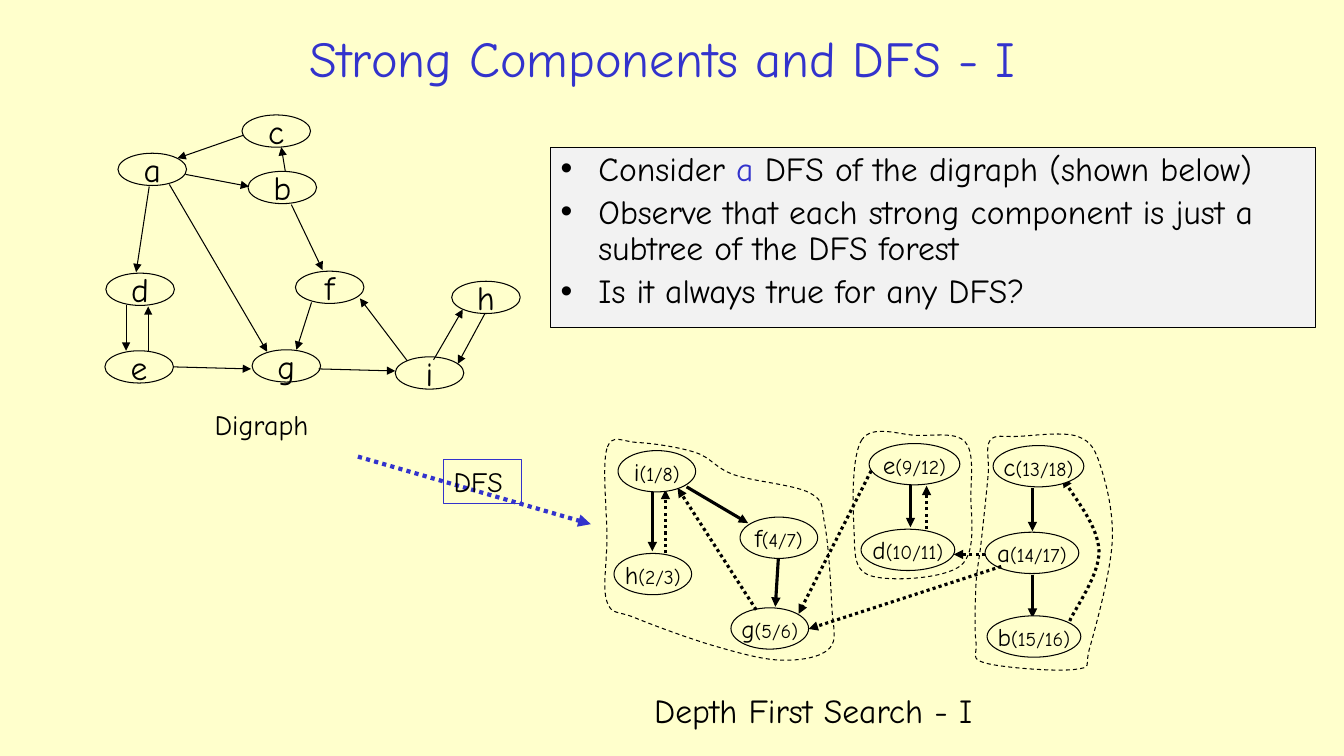
from lxml import etree
from pptx import Presentation
from pptx.dml.color import RGBColor
from pptx.enum.dml import MSO_LINE
from pptx.enum.shapes import MSO_CONNECTOR, MSO_SHAPE
from pptx.enum.text import MSO_ANCHOR, MSO_AUTO_SIZE, PP_ALIGN
from pptx.oxml.ns import qn
from pptx.util import Inches, Pt

CELL = Inches(0.1)
FONT = "Comic Neue"
COLORS = {"paper": "FFFFCC", "ink": "000000", "blue": "3333CC", "panel": "F2F2F2"}
OVAL, RECT, STRAIGHT = MSO_SHAPE.OVAL, MSO_SHAPE.RECTANGLE, MSO_CONNECTOR.STRAIGHT
DASH, DOT = MSO_LINE.DASH, MSO_LINE.ROUND_DOT
LEFT, CENTER = PP_ALIGN.LEFT, PP_ALIGN.CENTER
TOP, MIDDLE = MSO_ANCHOR.TOP, MSO_ANCHOR.MIDDLE
NO_FIT, GROW = MSO_AUTO_SIZE.NONE, MSO_AUTO_SIZE.SHAPE_TO_FIT_TEXT

DIGRAPH_NODES = {
    "a": (11.7, 15.2), "c": (24, 11.4), "b": (24.6, 17),
    "d": (10.5, 27.1), "e": (10.4, 34.8), "f": (29.3, 26.9),
    "g": (25, 34.7), "i": (39.2, 35.4), "h": (44.8, 27.9),
}
DIGRAPH_EDGES = [
    (24.2, 13.4, 17.6, 15.7), (18.4, 17.3, 24.7, 18.5), (28.3, 17, 27.9, 14.6),
    (14.8, 18.5, 13.5, 27), (12.5, 30.3, 12.5, 34.8), (14.7, 34.9, 14.7, 30.4),
    (28.9, 20.3, 32, 26.8), (17.2, 36.4, 24.9, 36.6), (40.4, 35.8, 35.7, 29.6),
    (43, 35.7, 45.9, 30.7), (48.1, 31.1, 45.4, 36.1), (31.6, 36.6, 39.2, 36.8),
    (30.9, 30, 29.4, 34.7), (16.8, 18.3, 26.5, 34.9),
]
FOREST_NODES = [
    ("i", "(1/8)", 61.3, 44.7, 7.7), ("h", "(2/3)", 60.9, 54.9, 7.7),
    ("f", "(4/7)", 73.4, 51.3, 7.7), ("g", "(5/6)", 72.5, 60.3, 7.7),
    ("e", "(9/12)", 86.2, 44, 9), ("d", "(10/11)", 85.4, 52.5, 9.3),
    ("c", "(13/18)", 98.5, 44.2, 9), ("a", "(14/17)", 97.7, 52.8, 9.3),
    ("b", "(15/16)", 97.9, 61.1, 9.3),
]
TREE_EDGES = [
    (64.7, 48.7, 64.7, 54.7), (68.1, 48.3, 74.2, 51.9), (77.2, 55.4, 76.9, 60.2),
    (90.3, 48, 90.3, 52.3), (102.4, 48.4, 102.4, 52.7), (102.4, 57, 102.4, 61.3),
]
OTHER_EDGES = [
    (91.9, 52.5, 91.9, 48.2), (97.7, 55, 94.6, 55), (99.3, 56.2, 80.2, 62.4),
]
BACK_CURVES = [
    [(66, 54.9), (66, 51.1), (66, 48.6)],
    [(106.1, 61.6), (109, 54.6), (105.4, 47.4)],
]
CURVES_TO_AND_FROM_G = [[(75, 60.5), (67.2, 48.4)], [(86.4, 46.7), (79.2, 60.9)]]
COMPONENTS = [
    [(85.5, 43.6), (84.7, 52.4), (86.3, 57.1), (95.3, 56.1), (96.3, 48.9),
     (95.7, 43.8), (91, 43.2)],
    [(60.2, 44.5), (60.2, 53.3), (60.2, 59.7), (63, 61.3), (70.9, 64.1),
     (77.6, 65.5), (82.3, 64.3), (82.5, 60.1), (81.8, 52), (80.3, 48.9),
     (72.8, 47.1), (69, 44.9), (63.2, 43.9)],
    [(98.2, 43.7), (98, 47.2), (97.3, 53.9), (96.8, 58), (96.8, 63.7),
     (97.8, 65.8), (106.7, 66.4), (108.1, 64.2), (110.3, 53.9), (109.2, 46.4),
     (106.9, 43.3), (100.9, 43.3)],
]
BULLETS = [
    [("Consider ", "ink"), ("a", "blue"), (" DFS of the digraph (shown below)", "ink")],
    [("Observe that each strong component is just a subtree of the DFS forest", "ink")],
    [("Is it always true for any DFS?", "ink")],
]


def rgb(name):
    """Return the named colour."""
    return RGBColor.from_string(COLORS[name])


def grid(*cells):
    """Turn grid cells into whole EMU lengths."""
    return [round(c * CELL) for c in cells]


def add_run(p, text, size, color="ink"):
    """Add one formatted run to a paragraph."""
    r = p.add_run()
    r.text = text
    r.font.name, r.font.size, r.font.color.rgb = FONT, Pt(size), rgb(color)


def set_line(sp, width, color="ink", dash=None, arrow=False):
    """Format an outline, with an arrowhead at its end if asked."""
    sp.line.color.rgb, sp.line.width = rgb(color), Pt(width)
    if dash:
        sp.line.dash_style = dash
    if arrow:
        etree.SubElement(sp.line._get_or_add_ln(), qn("a:tailEnd"), type="triangle")


def set_fill(sp, color):
    """Fill a shape or the background, or leave it clear without a colour."""
    if color:
        sp.fill.solid()
        sp.fill.fore_color.rgb = rgb(color)
    else:
        sp.fill.background()


def place(sp, *box):
    """Move and size a shape on the grid."""
    sp.left, sp.top, sp.width, sp.height = grid(*box)


def add_box(s, kind, box, runs, fill=None, line="ink", align=CENTER, anchor=MIDDLE):
    """Add an outlined shape labelled with (text, size) runs."""
    sp = s.shapes.add_shape(kind, *grid(*box))
    sp.shadow.inherit = False
    set_fill(sp, fill)
    set_line(sp, 0.75, line)
    tf = sp.text_frame
    tf.word_wrap, tf.vertical_anchor = False, anchor
    p = tf.paragraphs[0]
    p.alignment = align
    for text, size in runs:
        add_run(p, text, size)


def add_arrow(s, ends, width, color="ink", dash=None):
    """Add a straight arrow."""
    sp = s.shapes.add_connector(STRAIGHT, *grid(*ends))
    set_line(sp, width, color, dash, arrow=True)
    etree.SubElement(sp._element.spPr, qn("a:effectLst"))


def bend(sp, closed):
    """Turn the straight segments of a freeform into smooth Bezier ones."""
    knots = [(int(pt.get("x")), int(pt.get("y"))) for pt in sp._element.iter(qn("a:pt"))]
    n = len(knots) - 1
    slopes = []
    for i in range(n + 1):
        before = knots[(i - 1) % n if closed else max(i - 1, 0)]
        after = knots[(i + 1) % n if closed else min(i + 1, n)]
        slopes.append([(b - a) / 6 for a, b in zip(before, after)])
    for i, seg in enumerate(list(sp._element.iter(qn("a:lnTo")))):
        curve = etree.Element(qn("a:cubicBezTo"))
        leave = [k + m for k, m in zip(knots[i], slopes[i])]
        reach = [k - m for k, m in zip(knots[i + 1], slopes[i + 1])]
        for x, y in (leave, reach, knots[i + 1]):
            etree.SubElement(curve, qn("a:pt"), x=str(round(x)), y=str(round(y)))
        seg.getparent().replace(seg, curve)


def add_curve(s, knots, width, dash, closed=False):
    """Add a smooth outline, or an open curve ending in an arrowhead."""
    points = [grid(*pt) for pt in knots]
    fb = s.shapes.build_freeform(*points[0])
    fb.add_line_segments(points[1:] + points[:closed], close=closed)
    sp = fb.convert_to_shape()
    bend(sp, closed)
    sp.shadow.inherit = False
    set_fill(sp, None)
    set_line(sp, width, dash=dash, arrow=not closed)


def add_label(s, box, text, size):
    """Add a one-line text box."""
    tf = s.shapes.add_textbox(*grid(*box)).text_frame
    tf.word_wrap, tf.auto_size = False, GROW
    add_run(tf.paragraphs[0], text, size)


def fill_placeholders(s):
    """Write the title and the bulleted panel."""
    title, body = s.placeholders
    place(title, 20.9, 2.4, 89.6, 6.6)
    title.text_frame.auto_size = NO_FIT
    add_run(title.text_frame.paragraphs[0], "Strong Components and DFS - I", 36, "blue")
    place(body, 54.6, 14.6, 75.9, 17.9)
    set_fill(body, "panel")
    set_line(body, 0.75)
    tf = body.text_frame
    tf.auto_size = NO_FIT
    for i, runs in enumerate(BULLETS):
        p = tf.add_paragraph() if i else tf.paragraphs[0]
        p.line_spacing = 0.9
        for text, color in runs:
            add_run(p, text, 24, color)


def main():
    """Build the slide and save it."""
    prs = Presentation()
    prs.slide_width, prs.slide_height = Inches(13.33), Inches(7.5)
    s = prs.slides.add_slide(prs.slide_layouts[1])
    set_fill(s.background, "paper")
    fill_placeholders(s)

    for ends in TREE_EDGES:
        add_arrow(s, ends, 2.25)
    for knots in BACK_CURVES:
        add_curve(s, knots, 2.25, DOT)
    for name, times, x, y, w in FOREST_NODES:
        add_box(s, OVAL, (x, y, w, 4.1), [(name, 18), (times, 14)], "paper")
    for knots in CURVES_TO_AND_FROM_G:
        add_curve(s, knots, 2.25, DOT)
    for ends in OTHER_EDGES:
        add_arrow(s, ends, 2.25, dash=DOT)
    for knots in COMPONENTS:
        add_curve(s, knots, 0.75, DASH, closed=True)
    add_label(s, (63.9, 68, 37.5, 5), "Depth First Search - I", 24)

    for name, (x, y) in DIGRAPH_NODES.items():
        add_box(s, OVAL, (x, y, 6.8, 3.2), [(name, 24)], "paper")
    for ends in DIGRAPH_EDGES:
        add_arrow(s, ends, 0.75)
    add_label(s, (20.3, 39.9, 12.1, 4.3), "Digraph", 20)

    add_arrow(s, (35.5, 45.3, 58.6, 52), 3, "blue", DOT)
    add_box(s, RECT, (44, 45.6, 7.7, 4.4), [("DFS", 20)], None, "blue", LEFT, TOP)
    prs.save("out.pptx")


if __name__ == "__main__":
    main()
